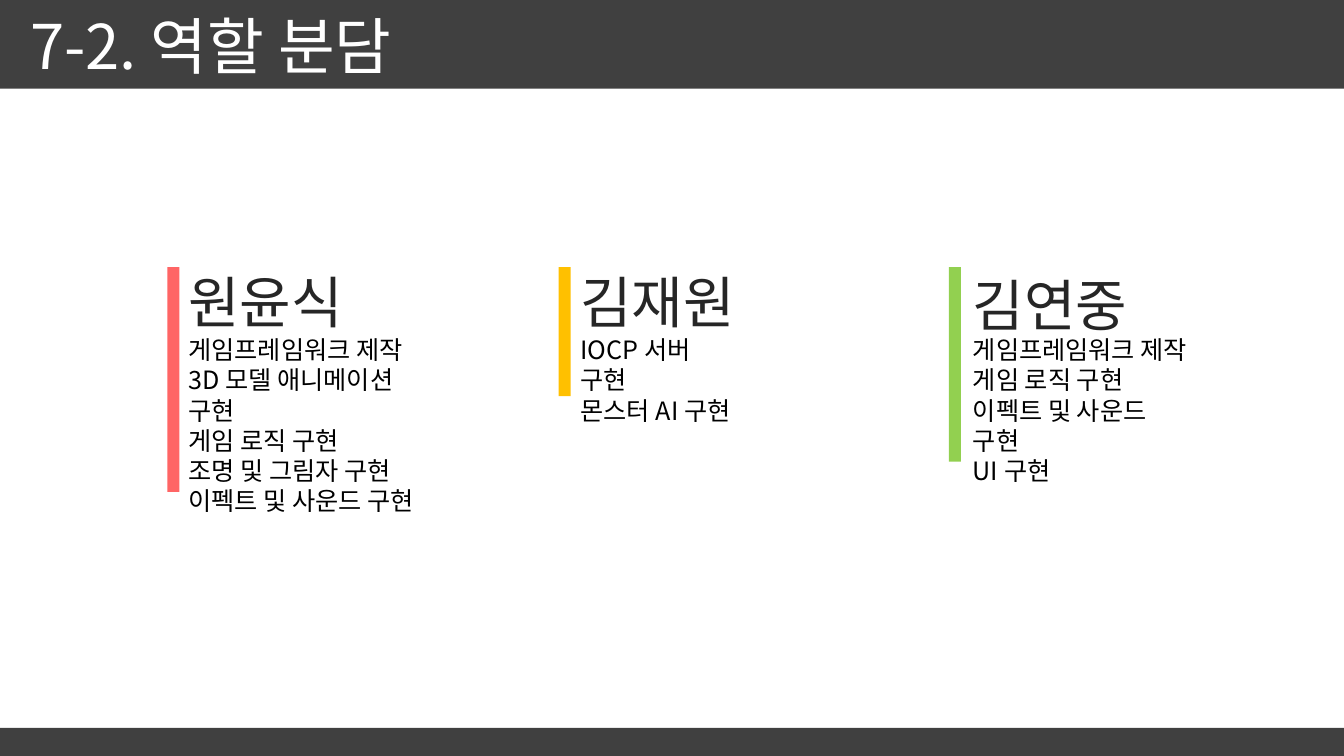
import pptx
import pptx.util
import pptx.dml.color
import pptx.enum.shapes
import pptx.enum.text

Inches = pptx.util.Inches

COLORS = {
    "band": "404040",
    "title": "FFFFFF",
    "name": "262626",
    "task": "000000",
    "red": "FF6565",
    "yellow": "FFC000",
    "green": "92D050",
}


class RoleSlide:
    font = "Noto Sans CJK KR"
    line_height = 1.2

    def __init__(self, slide):
        self.slide = slide

    def color(self, key):
        return pptx.dml.color.RGBColor.from_string(COLORS[key])

    def bar(self, left, top, width, height, color):
        bar = self.slide.shapes.add_shape(
            pptx.enum.shapes.MSO_SHAPE.RECTANGLE,
            Inches(left), Inches(top), Inches(width), Inches(height))
        bar.shadow.inherit = False
        bar.fill.solid()
        bar.fill.fore_color.rgb = self.color(color)
        bar.line.fill.background()

    def text(self, left, top, width, height, lines, size, color):
        box = self.slide.shapes.add_textbox(
            Inches(left), Inches(top), Inches(width), Inches(height))
        frame = box.text_frame
        frame.word_wrap = True
        frame.auto_size = pptx.enum.text.MSO_AUTO_SIZE.NONE
        frame.text = "\n".join(lines)
        for paragraph in frame.paragraphs:
            paragraph.line_spacing = pptx.util.Pt(size * self.line_height)
            for run in paragraph.runs:
                run.font.name = self.font
                run.font.size = pptx.util.Pt(size)
                run.font.color.rgb = self.color(color)


deck = pptx.Presentation()
deck.slide_width, deck.slide_height = Inches(13.33), Inches(7.5)
page = RoleSlide(deck.slides.add_slide(deck.slide_layouts[6]))

# Header and footer bands
page.bar(0, 0, 13.33, 0.88, "band")
page.bar(0, 7.22, 13.33, 0.28, "band")
page.text(0.2, 0.03, 3.96, 0.84, ["7-2. 역할 분담"], 44, "title")

# Members: name, name top, bar colour, bar left, bar height, task width, tasks
members = [
    ("원윤식", 2.61, "red", 1.66, 2.23, 2.72,
     ["게임프레임워크 제작", "3D 모델 애니메이션 구현", "게임 로직 구현",
      "조명 및 그림자 구현", "이펙트 및 사운드 구현"]),
    ("김재원", 2.61, "yellow", 5.54, 1.28, 1.77,
     ["IOCP 서버 구현", "몬스터 AI 구현"]),
    ("김연중", 2.63, "green", 9.41, 1.93, 2.39,
     ["게임프레임워크 제작", "게임 로직 구현", "이펙트 및 사운드 구현",
      "UI 구현"]),
]
first_left, column_step = 1.77, 3.89
for index, member in enumerate(members):
    name, name_top, color, bar_left, bar_height, task_width, tasks = member
    left = first_left + index * column_step
    page.text(left, name_top, 1.75, 0.77, [name], 40, "name")
    page.text(left, 3.27, task_width, 0.1 + 0.3 * len(tasks), tasks, 18, "task")
    page.bar(bar_left, 2.65, 0.12, bar_height, color)

deck.save("out.pptx")
